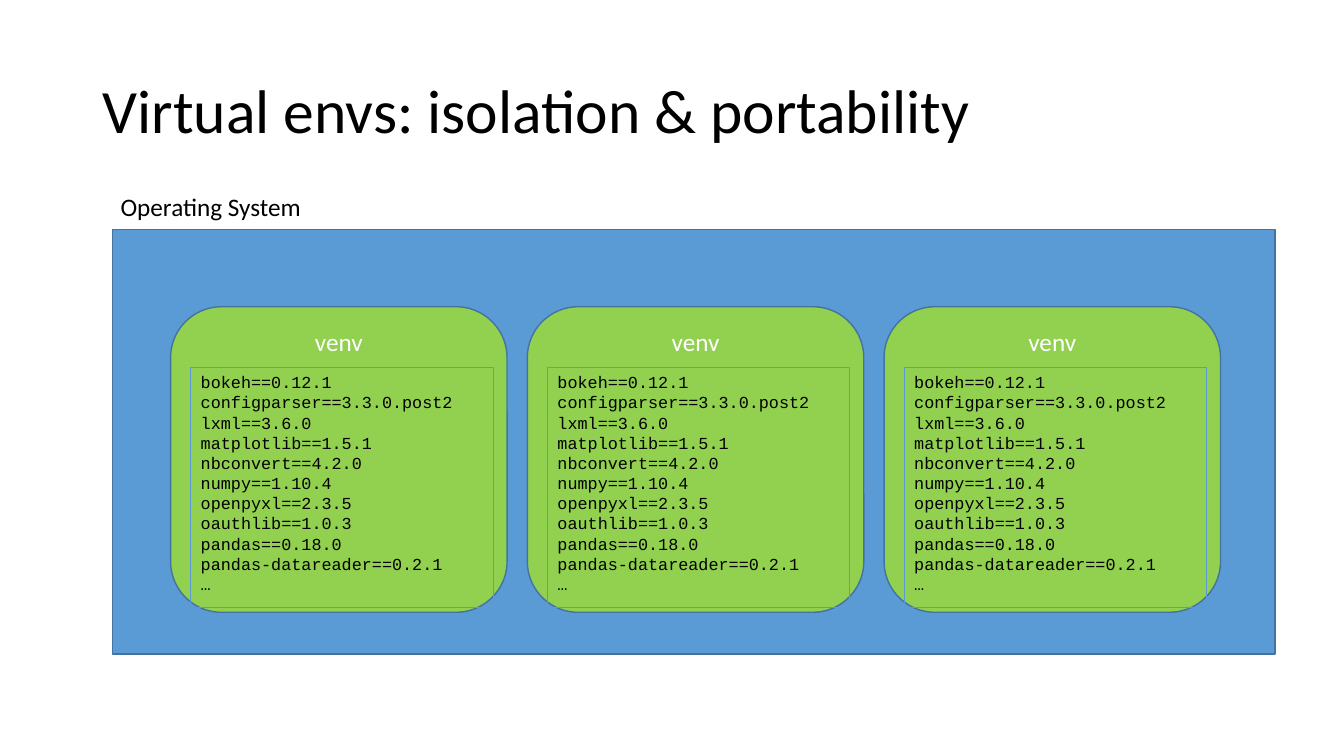
from dataclasses import dataclass

from pptx import Presentation
from pptx.dml.color import RGBColor as RGB
from pptx.enum.shapes import MSO_SHAPE as SHAPE
from pptx.enum.text import MSO_ANCHOR as ANCHOR, PP_ALIGN as ALIGN
from pptx.util import Cm, Pt


@dataclass(frozen=True)
class Theme:
    ink: RGB = RGB.from_string("000000")
    white: RGB = RGB.from_string("FFFFFF")
    system: RGB = RGB.from_string("5B9BD5")
    outline: RGB = RGB.from_string("43739E")
    venv: RGB = RGB.from_string("92D050")
    sans: str = "Calibri"
    mono: str = "Courier New"
    title_size: Pt = Pt(44)
    label_size: Pt = Pt(18)
    package_size: Pt = Pt(12)
    package_leading: Pt = Pt(14.4)


theme = Theme()

presentation = Presentation()
presentation.slide_width = Cm(33.87)
presentation.slide_height = Cm(19.05)
slide = presentation.slides.add_slide(presentation.slide_layouts[6])


def add_box(kind, left, top, width, height, fill=None, line=None, weight=1):
    box = slide.shapes.add_shape(kind, Cm(left), Cm(top), Cm(width), Cm(height))
    box.shadow.inherit = False
    if fill is None:
        box.fill.background()
    else:
        box.fill.solid()
        box.fill.fore_color.rgb = fill
    if line is None:
        box.line.fill.background()
    else:
        box.line.color.rgb = line
        box.line.width = Pt(weight)
    return box


def write(box, text, size, color=theme.ink, font=theme.sans,
          align=ALIGN.LEFT, anchor=ANCHOR.TOP, spacing=None):
    frame = box.text_frame
    frame.word_wrap = True
    frame.vertical_anchor = anchor
    frame.text = text
    for paragraph in frame.paragraphs:
        paragraph.alignment = align
        paragraph.line_spacing = spacing
        for run in paragraph.runs:
            run.font.size = size
            run.font.name = font
            run.font.color.rgb = color


title = slide.shapes.add_textbox(Cm(2.34), Cm(1.02), Cm(29.21), Cm(3.68))
write(title, "Virtual envs: isolation & portability", theme.title_size,
      anchor=ANCHOR.MIDDLE, spacing=0.9)

add_box(SHAPE.RECTANGLE, 2.84, 5.79, 29.29, 10.69, theme.system, theme.outline)
system_label = slide.shapes.add_textbox(Cm(2.79), Cm(4.7), Cm(11.35), Cm(1.02))
write(system_label, "Operating System", theme.label_size)

packages = [
    "bokeh==0.12.1",
    "configparser==3.3.0.post2",
    "lxml==3.6.0",
    "matplotlib==1.5.1",
    "nbconvert==4.2.0",
    "numpy==1.10.4",
    "openpyxl==2.3.5",
    "oauthlib==1.0.3",
    "pandas==0.18.0",
    "pandas-datareader==0.2.1",
    "…",
]
venv_left, venv_top, venv_pitch = 4.3, 7.73, 8.99

for column in range(3):
    left = venv_left + column * venv_pitch
    venv = add_box(SHAPE.ROUNDED_RECTANGLE, left, venv_top, 8.48, 7.7,
                   theme.venv, theme.outline)
    write(venv, "venv", theme.label_size, theme.white, align=ALIGN.CENTER)
    requirements = add_box(SHAPE.RECTANGLE, left + 0.51, venv_top + 1.52,
                           7.62, 6.07, line=theme.system, weight=0.75)
    write(requirements, "\n".join(packages), theme.package_size,
          font=theme.mono, spacing=theme.package_leading)

presentation.save("out.pptx")
